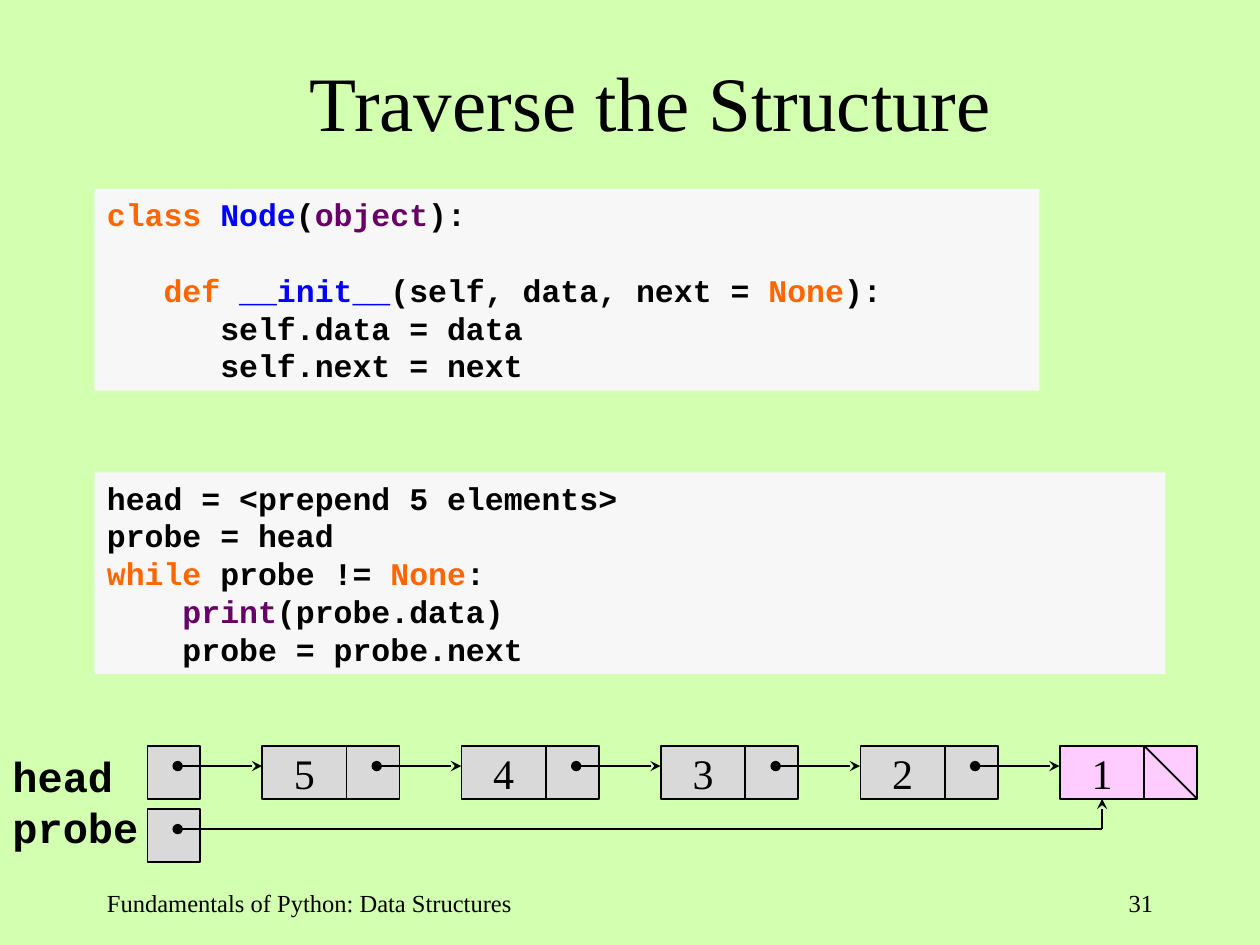
from lxml.etree import SubElement
from pptx import Presentation
from pptx.dml.color import RGBColor
from pptx.enum.shapes import MSO_CONNECTOR, MSO_SHAPE
from pptx.enum.text import MSO_ANCHOR, PP_ALIGN
from pptx.oxml.ns import qn
from pptx.util import Inches, Pt

COLORS = {
    "back": "D2FFB0", "panel": "F7F7F7", "cell": "D9D9D9", "last": "FFCCFF",
    "text": "000000", "key": "FF6600", "name": "0000FF", "built": "660066",
}
SERIF, MONO = "Times New Roman", "Courier New"
SIDE = 0.42   # pointer cell
DATA = 0.67   # data cell
PITCH = 1.583  # node to node
DOT = 0.24    # arrow start inside a pointer cell
MID = 0.16    # arrow height inside a cell

NODE_CODE = [
    [("class ", "key"), ("Node", "name"), ("(", "text"), ("object", "built"),
     ("):", "text")],
    [],
    [("   ", "text"), ("def ", "key"), ("__init__", "name"),
     ("(self, data, next = ", "text"), ("None", "key"), ("):", "text")],
    [("      self.data = data", "text")],
    [("      self.next = next", "text")],
]
LOOP_CODE = [
    [("head = <prepend 5 elements>", "text")],
    [("probe = head", "text")],
    [("while ", "key"), ("probe != ", "text"), ("None", "key"), (":", "text")],
    [("    ", "text"), ("print", "built"), ("(probe.data)", "text")],
    [("    probe = probe.next", "text")],
]


def color(key):
    return RGBColor.from_string(COLORS[key])


def style(para, size, face, bold=False, align=PP_ALIGN.LEFT):
    para.alignment = align
    font = para.font
    font.size, font.name, font.bold = Pt(size), face, bold
    font.color.rgb = color("text")


def add_text(slide, box, lines, size, face, bold=False, align=PP_ALIGN.LEFT,
             anchor=MSO_ANCHOR.TOP, wrap=True):
    frame = slide.shapes.add_textbox(*map(Inches, box)).text_frame
    frame.word_wrap = wrap
    frame.vertical_anchor = anchor
    frame.text = "\n".join(lines)
    for para in frame.paragraphs:
        style(para, size, face, bold, align)


def add_rect(slide, box, fill, line=True):
    rect = slide.shapes.add_shape(MSO_SHAPE.RECTANGLE, *map(Inches, box))
    rect.shadow.inherit = False
    rect.fill.solid()
    rect.fill.fore_color.rgb = color(fill)
    if line:
        rect.line.color.rgb = color("text")
        rect.line.width = Pt(1)
    else:
        rect.line.fill.background()
    return rect


def add_line(slide, start, end, head=None, tail=None, width=1):
    line = slide.shapes.add_connector(
        MSO_CONNECTOR.STRAIGHT, *map(Inches, (*start, *end)))
    line.line.color.rgb = color("text")
    line.line.width = Pt(width)
    props = line.line._get_or_add_ln()
    for tag, kind in (("a:headEnd", head), ("a:tailEnd", tail)):
        if kind:
            SubElement(props, qn(tag), type=kind)
    SubElement(line._element.spPr, qn("a:effectLst"))


def add_code(slide, box, lines):
    frame = add_rect(slide, box, "panel", line=False).text_frame
    frame.word_wrap = True
    frame.vertical_anchor = MSO_ANCHOR.TOP
    for i, parts in enumerate(lines):
        para = frame.add_paragraph() if i else frame.paragraphs[0]
        style(para, 18, MONO, bold=True)
        for text, key in parts:
            run = para.add_run()
            run.text = text
            run.font.color.rgb = color(key)


def add_node(slide, left, top, label, fill):
    add_rect(slide, (left + DATA, top, SIDE, SIDE), fill)
    cell = add_rect(slide, (left, top, DATA, SIDE), fill)
    frame = cell.text_frame
    frame.word_wrap = False
    frame.vertical_anchor = MSO_ANCHOR.MIDDLE
    frame.text = label
    style(frame.paragraphs[0], 24, SERIF, align=PP_ALIGN.CENTER)


def add_list(slide, left, top, labels):
    # Names and their pointer cells
    add_text(slide, (left, top - 0.01, 1.2, 0.9), ["head", "probe"], 24, MONO,
             bold=True, wrap=False)
    cell, low = left + 1.17, top + 0.5
    for y in (top, low):
        add_rect(slide, (cell, y, SIDE, SIDE), "cell")

    # Nodes, each reached by an arrow from the cell before it
    first = left + 2.08
    end = len(labels) - 1
    for i, label in enumerate(labels):
        add_node(slide, first + i * PITCH, top, label,
                 "last" if i == end else "cell")
    cells = [cell] + [first + i * PITCH + DATA for i in range(end)]
    for x in cells:
        add_line(slide, (x + DOT, top + MID), (x + DOT + DATA, top + MID),
                 "oval", "stealth")

    # Empty link of the last node
    node = first + end * PITCH
    add_line(slide, (node + DATA, top), (node + DATA + SIDE, top + SIDE))

    # Probe arrow, up to the last node
    turn = (node + DATA / 2, low + MID)
    add_line(slide, (cell + DOT, low + MID), turn, head="oval")
    add_line(slide, turn, (turn[0], top + SIDE), tail="stealth", width=0.75)


def add_footer(slide, left, top, width):
    add_text(slide, (left, top, 3.58, 0.5),
             ["Fundamentals of Python: Data Structures"], 14, SERIF)
    add_text(slide, (left + width - 2.08, top, 2.08, 0.5), ["31"], 14, SERIF,
             align=PP_ALIGN.RIGHT)


def main():
    deck = Presentation()
    deck.slide_width, deck.slide_height = Inches(10), Inches(7.5)
    slide = deck.slides.add_slide(deck.slide_layouts[6])
    slide.background.fill.solid()
    slide.background.fill.fore_color.rgb = color("back")

    add_text(slide, (0.75, 0.17, 8.83, 1.25), ["Traverse the Structure"], 44,
             SERIF, align=PP_ALIGN.CENTER, anchor=MSO_ANCHOR.MIDDLE)
    add_list(slide, 0, 5.92, "54321")
    add_code(slide, (0.75, 3.75, 8.5, 1.6), LOOP_CODE)
    add_code(slide, (0.75, 1.5, 7.5, 1.6), NODE_CODE)
    add_footer(slide, 0.75, 7, 8.5)
    deck.save("out.pptx")


if __name__ == "__main__":
    main()
